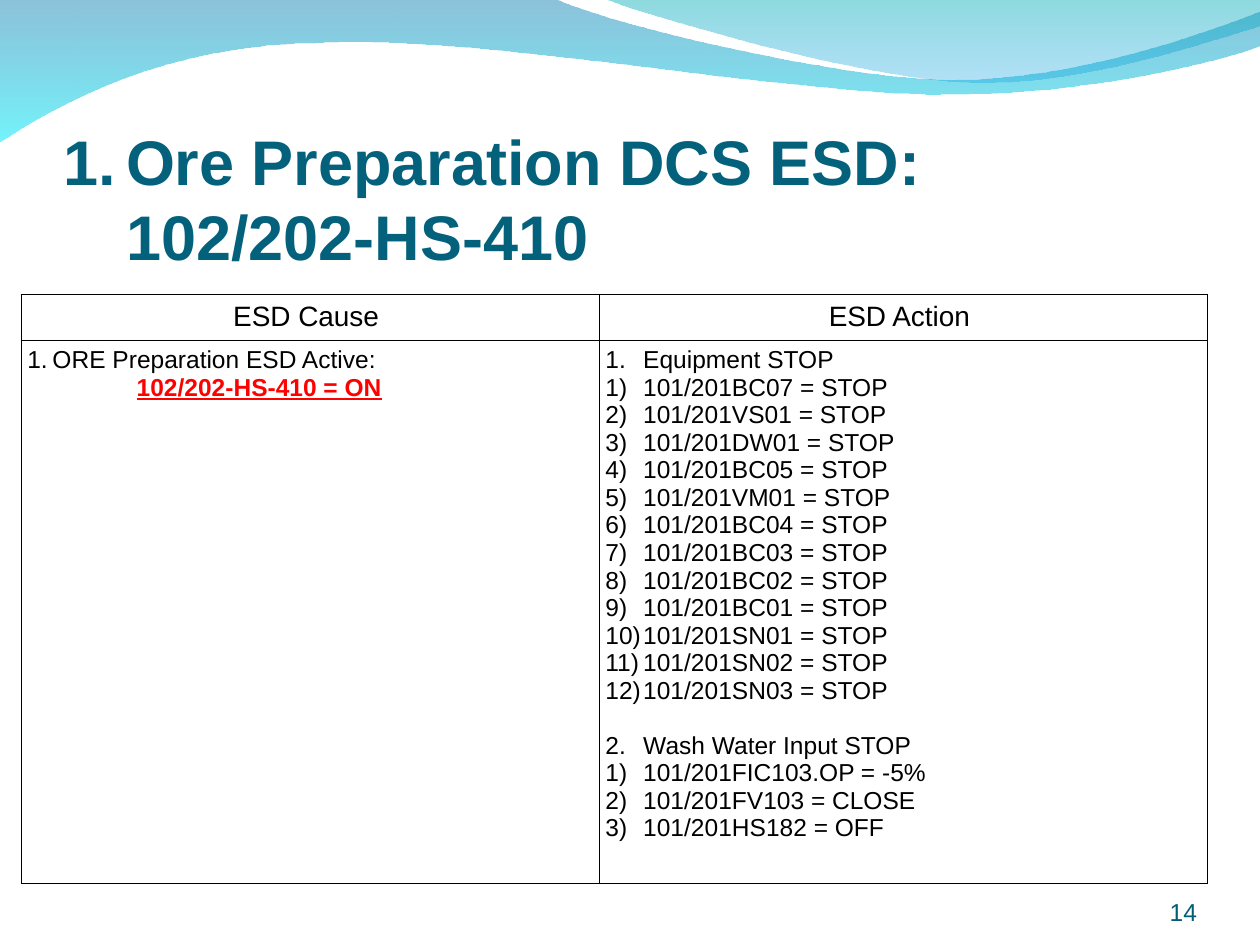
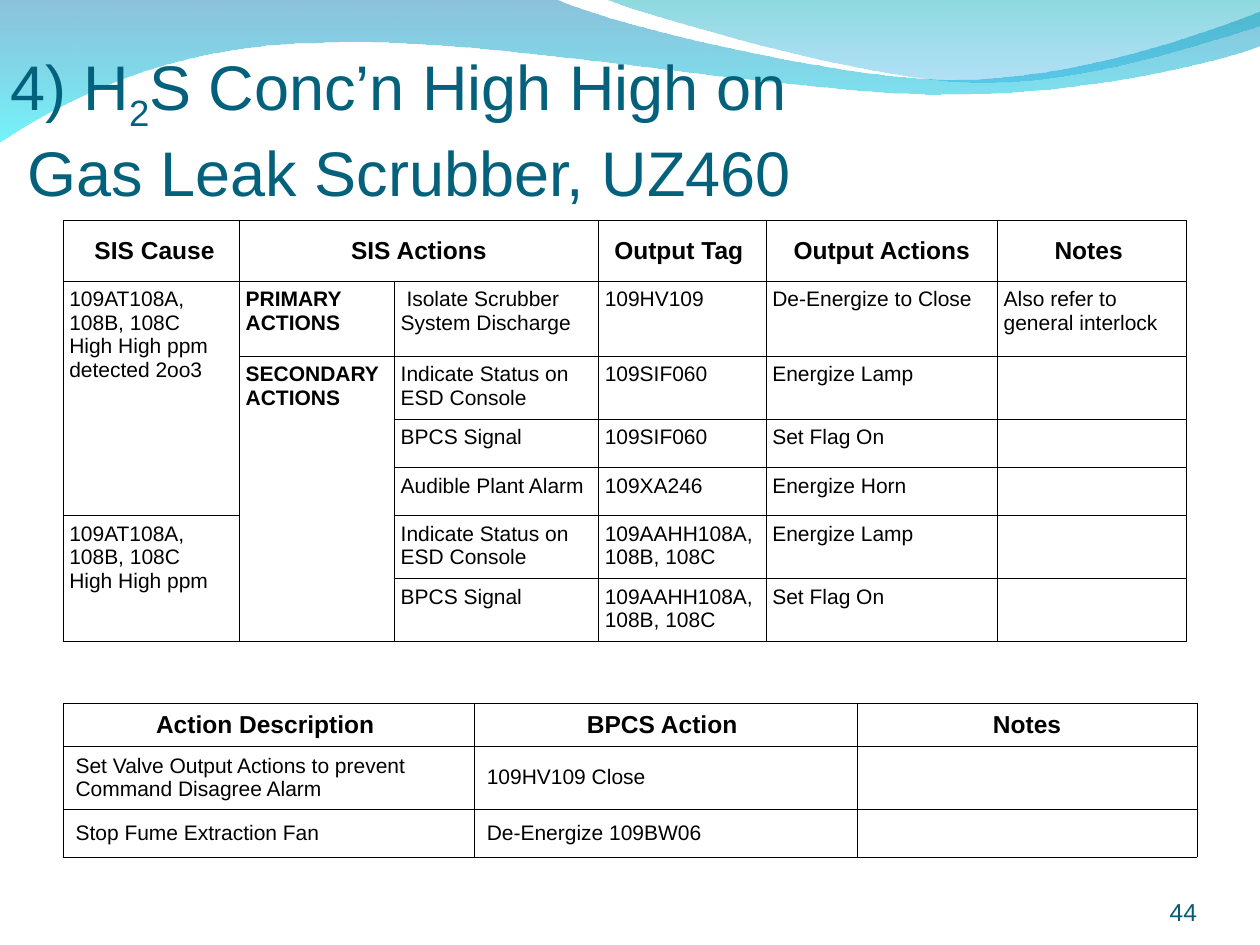
"""Build two interlock slides with a shared wave band, titles, tables and page numbers."""
from copy import deepcopy
from dataclasses import dataclass

from lxml.etree import SubElement as Sub
from pptx import Presentation
from pptx.dml.color import RGBColor as Rgb
from pptx.enum.text import MSO_ANCHOR as Anchor, MSO_AUTO_SIZE as Auto, PP_ALIGN as Align
from pptx.oxml.ns import qn
from pptx.util import Pt


@dataclass(frozen=True)
class Theme:
    font: str = "Arial"
    title: str = "04617B"
    page: str = "045C75"
    ink: str = "000000"
    alert: str = "FF0000"
    big: float = 36
    head: float = 16
    mid: float = 14
    small: float = 12
    rule: float = 0.45


@dataclass(frozen=True)
class Look:
    size: float
    color: str
    bold: bool = False
    line: bool = False


@dataclass(frozen=True)
class Line:
    text: str
    look: Look
    num: str = ""
    start: int = 1
    left: float = 0
    hang: float = 0
    gap: float = 0
    align: Align = Align.LEFT


@dataclass(frozen=True)
class Box:
    x: float
    y: float
    w: float
    h: float


@dataclass(frozen=True)
class Wave:
    start: tuple
    segs: tuple
    stops: tuple


@dataclass(frozen=True)
class Grid:
    x: float
    y: float
    cols: tuple
    rows: tuple
    cells: list
    pad: float = 3.6
    rights: tuple = ()
    anchor: Anchor = Anchor.TOP
    spans: tuple = ()


T = Theme()
BIG = Look(T.big, T.title)
BOLD = Look(T.big, T.title, True)
PAGE = Look(T.mid, T.page)
HEAD = Look(T.head, T.ink)
TEXT = Look(T.mid, T.ink)
ALERT = Look(T.mid, T.alert, True, True)
LABEL = Look(T.mid, T.ink, True)
CELL = Look(T.small, T.ink)
STRONG = Look(T.small, T.ink, True)
DOT, PAREN = "arabicPeriod", "arabicParenR"

WAVES = (
    Wave((0, -0.7), (
        (317, -0.7),
        (342.7, 12.2, 478, 45.4, 545.8, 45.4),
        (614.2, 45.4, 689.8, 18.7, 720, 6.5),
        (720.7, 25.9),
        (707.8, 31.7, 626.4, 54.7, 537.1, 54),
        (447.8, 54, 275, 20.2, 185, 24.5),
        (92.9, 25.2, 33.1, 59.8, -0.7, 81.4),
    ), (("0079AF", 45), ("00EBF8", 55))),
    Wave((344.9, -0.7), (
        (366.5, 7.9, 491, 44.6, 553.7, 46.8),
        (616.3, 49.7, 691.9, 23, 720, 15.1),
        (720, 0),
    ), (("00ADB6", 45), ("009BE5", 30))),
)


def fit(obj, **vals) -> None:
    """Set each named format value on an object."""
    for name, val in vals.items():
        setattr(obj, name, val)


def place(shape, box: Box) -> None:
    """Move and size a shape in points."""
    fit(shape, left=Pt(box.x), top=Pt(box.y), width=Pt(box.w), height=Pt(box.h))


def style(run, look: Look) -> None:
    """Give a run its type style."""
    fit(run.font, name=T.font, size=Pt(look.size), bold=look.bold, underline=look.line)
    run.font.color.rgb = Rgb.from_string(look.color)


def write(para, line: Line) -> None:
    """Fill a paragraph; a bar breaks the line and tildes enclose a subscript."""
    para.alignment = line.align
    if line.gap:
        para.space_before = Pt(line.gap)
    props = para._p.get_or_add_pPr()
    props.set("marL", str(Pt(line.left)))
    props.set("indent", str(Pt(-line.hang)))
    if line.num:
        Sub(Sub(props, qn("a:buClr")), qn("a:srgbClr"), val=line.look.color)
        Sub(props, qn("a:buFont"), typeface=T.font)
        auto = Sub(props, qn("a:buAutoNum"), type=line.num)
        if line.start > 1:
            auto.set("startAt", str(line.start))
    for row, part in enumerate(line.text.split("|")):
        if row:
            para.add_line_break()
        for step, bit in enumerate(part.split("~")):
            run = para.add_run()
            run.text = bit
            style(run, line.look)
            if step % 2:
                run.font._element.set("baseline", "-25000")
    for brk in para._p.findall(qn("a:br")):
        brk.append(deepcopy(para.runs[0].font._element))


def fill(frame, lines: list) -> None:
    """Write lines as the paragraphs of a text frame."""
    for pos, line in enumerate(lines):
        write(frame.add_paragraph() if pos else frame.paragraphs[0], line)
    if not lines:
        Sub(frame.paragraphs[0]._p, qn("a:endParaRPr"), sz=str(T.small * 100))


def curve(shape, wave: Wave) -> None:
    """Join each three points of a curved segment into one Bezier."""
    legs = iter(list(shape.element.iter(qn("a:lnTo"))))
    for seg in wave.segs:
        first = next(legs)
        if len(seg) == 6:
            first.tag = qn("a:cubicBezTo")
            for leg in (next(legs), next(legs)):
                first.append(leg[0])
                leg.getparent().remove(leg)


def band(slide, base) -> None:
    """Draw the waves and put them behind everything on the master."""
    for pos, wave in enumerate(WAVES):
        pen = slide.shapes.build_freeform(*map(Pt, wave.start))
        pen.add_line_segments([(Pt(x), Pt(y)) for seg in wave.segs
                               for x, y in zip(seg[::2], seg[1::2])], close=True)
        shape = pen.convert_to_shape()
        curve(shape, wave)
        shape.shadow.inherit = False
        shape.line.fill.background()
        shape.fill.gradient()
        shape.fill.gradient_angle = 270
        for stop, (color, _) in zip(shape.fill.gradient_stops, wave.stops):
            stop.color.rgb = Rgb.from_string(color)
        for tint, (_, alpha) in zip(list(shape.element.iter(qn("a:srgbClr"))), wave.stops):
            Sub(tint, qn("a:alpha"), val=str(alpha * 1000))
        base.shapes.element.insert(2 + pos, shape.element)


def head(slide, box: Box, line: Line, anchor: Anchor) -> None:
    """Move and fill the title placeholder."""
    title = slide.shapes.title
    place(title, box)
    fit(title.text_frame, margin_left=0, margin_right=0, margin_top=Pt(3.6), margin_bottom=0,
        word_wrap=True, auto_size=Auto.NONE, vertical_anchor=anchor)
    write(title.text_frame.paragraphs[0], line)


def page(slide, num: str) -> None:
    """Add the page number at the lower right."""
    frame = slide.shapes.add_textbox(Pt(624), Pt(500.4), Pt(60), Pt(28.8)).text_frame
    fit(frame, margin_left=0, margin_right=0, margin_top=0, margin_bottom=0,
        word_wrap=True, vertical_anchor=Anchor.BOTTOM)
    fill(frame, [Line(num, PAGE, align=Align.RIGHT)])


def edge(cell) -> None:
    """Clear the cell fill and rule its four sides."""
    cell.fill.background()
    props = cell._tc.get_or_add_tcPr()
    for pos, side in enumerate("LRTB"):
        rule = Sub(props, qn(f"a:ln{side}"), w=str(Pt(T.rule)))
        Sub(Sub(rule, qn("a:solidFill")), qn("a:srgbClr"), val=T.ink)
        props.insert(pos, rule)


def table(slide, grid: Grid) -> None:
    """Add a ruled table whose first row is the header."""
    frame = slide.shapes.add_table(len(grid.rows), len(grid.cols), Pt(grid.x), Pt(grid.y),
                                   Pt(sum(grid.cols)), Pt(sum(grid.rows)))
    tab = frame.table
    fit(tab, first_row=False, horz_banding=False)
    rights = grid.rights or (grid.pad,) * len(grid.cols)
    for col, width in zip(tab.columns, grid.cols):
        col.width = Pt(width)
    for r, (row, height) in enumerate(zip(tab.rows, grid.rows)):
        row.height = Pt(height)
        for cell, lines, right in zip(row.cells, grid.cells[r], rights):
            fit(cell, margin_left=Pt(grid.pad), margin_right=Pt(right if r else grid.pad),
                margin_top=Pt(3.6), margin_bottom=Pt(3.6),
                vertical_anchor=grid.anchor if r else Anchor.MIDDLE)
            edge(cell)
            fill(cell.text_frame, lines)
    for top, left, low, right in grid.spans:
        tab.cell(top, left).merge(tab.cell(low, right))


def heads(look: Look, *names: str) -> list:
    """Make a row of centred header cells."""
    return [[Line(n, look, align=Align.CENTER)] if n else [] for n in names]


def texts(*words: str) -> list:
    """Make a row of body cells, bold for action groups."""
    return [[Line(w, STRONG if w.endswith("ACTIONS") else CELL)] if w else [] for w in words]


def steps(name: str, start: int, items: list, gap: float = 0) -> list:
    """Make a numbered heading with its numbered steps."""
    form = dict(look=TEXT, left=21.6, hang=21.6)
    return [Line(name, num=DOT, start=start, gap=gap, **form)] + [
        Line(item, num=PAREN, **form) for item in items]


def main() -> None:
    """Build and save the slides."""
    deck = Presentation()
    fit(deck, slide_width=Pt(720), slide_height=Pt(540))
    ore, gas = (deck.slides.add_slide(deck.slide_layouts[5]) for _ in range(2))
    band(ore, deck.slide_master)

    head(ore, Box(36, 66.2, 660, 90),
         Line("Ore Preparation DCS ESD: |102/202-HS-410", BOLD, num=DOT, left=36, hang=36),
         Anchor.BOTTOM)
    tags = "BC07 VS01 DW01 BC05 VM01 BC04 BC03 BC02 BC01 SN01 SN02 SN03".split()
    cause = [Line("ORE Preparation ESD Active:", TEXT, num=DOT, left=14.4, hang=14.4),
             Line("102/202-HS-410 = ON", ALERT, left=62.5)]
    acts = steps("Equipment STOP", 1, [f"101/201{tag} = STOP" for tag in tags])
    acts += steps("Wash Water Input STOP", 2, ["101/201FIC103.OP = -5%", "101/201FV103 = CLOSE",
                                               "101/201HS182 = OFF"], 15.8)
    table(ore, Grid(12, 168, (330.4, 347.6), (26.4, 310.3),
                    [heads(HEAD, "ESD Cause ", "ESD Action "), [cause, acts]]))
    page(ore, "14")

    head(gas, Box(5.8, 23.8, 648, 90),
         Line("4) H~2~S Conc’n High High on | Gas Leak Scrubber, UZ460", BIG), Anchor.TOP)
    status, signal = "Indicate Status on ESD Console", "BPCS Signal"
    lamp, flag = "Energize Lamp", "Set Flag On"
    alarm = "109AAHH108A, 108B, 108C"
    source = "109AT108A, 108B, 108C High High ppm"
    table(gas, Grid(36, 126, (100.8, 88.6, 116.6, 95.8, 132.2, 108.2),
                    (34.8, 43, 36, 27.5, 27.5, 36, 36), [
        heads(LABEL, " SIS Cause", "SIS Actions", "", "Output Tag ", "Output Actions", "Notes "),
        texts(f"{source} detected 2oo3", "PRIMARY ACTIONS", " Isolate Scrubber System Discharge",
              "109HV109", "De-Energize to Close", "Also refer to general interlock"),
        texts("", "SECONDARY ACTIONS", status, "109SIF060", lamp, ""),
        texts("", "", signal, "109SIF060", flag, ""),
        texts("", "", "Audible Plant Alarm", "109XA246", "Energize Horn", ""),
        texts(source, "", status, alarm, lamp, ""),
        texts("", "", signal, alarm, flag, ""),
    ], rights=(7.2,) * 4 + (3.6,) * 2,
        spans=((0, 1, 0, 2), (1, 0, 4, 0), (2, 1, 6, 1), (5, 0, 6, 0))))
    table(gas, Grid(36, 401.8, (235, 218.7, 194.4), (24.5, 36, 27.5), [
        heads(LABEL, "Action Description ", "BPCS Action ", "Notes"),
        texts("Set Valve Output Actions to prevent Command Disagree Alarm", "109HV109 Close", ""),
        texts("Stop Fume Extraction Fan", "De-Energize 109BW06", ""),
    ], pad=7.2, anchor=Anchor.MIDDLE))
    page(gas, "44")
    deck.save("out.pptx")


if __name__ == "__main__":
    main()
